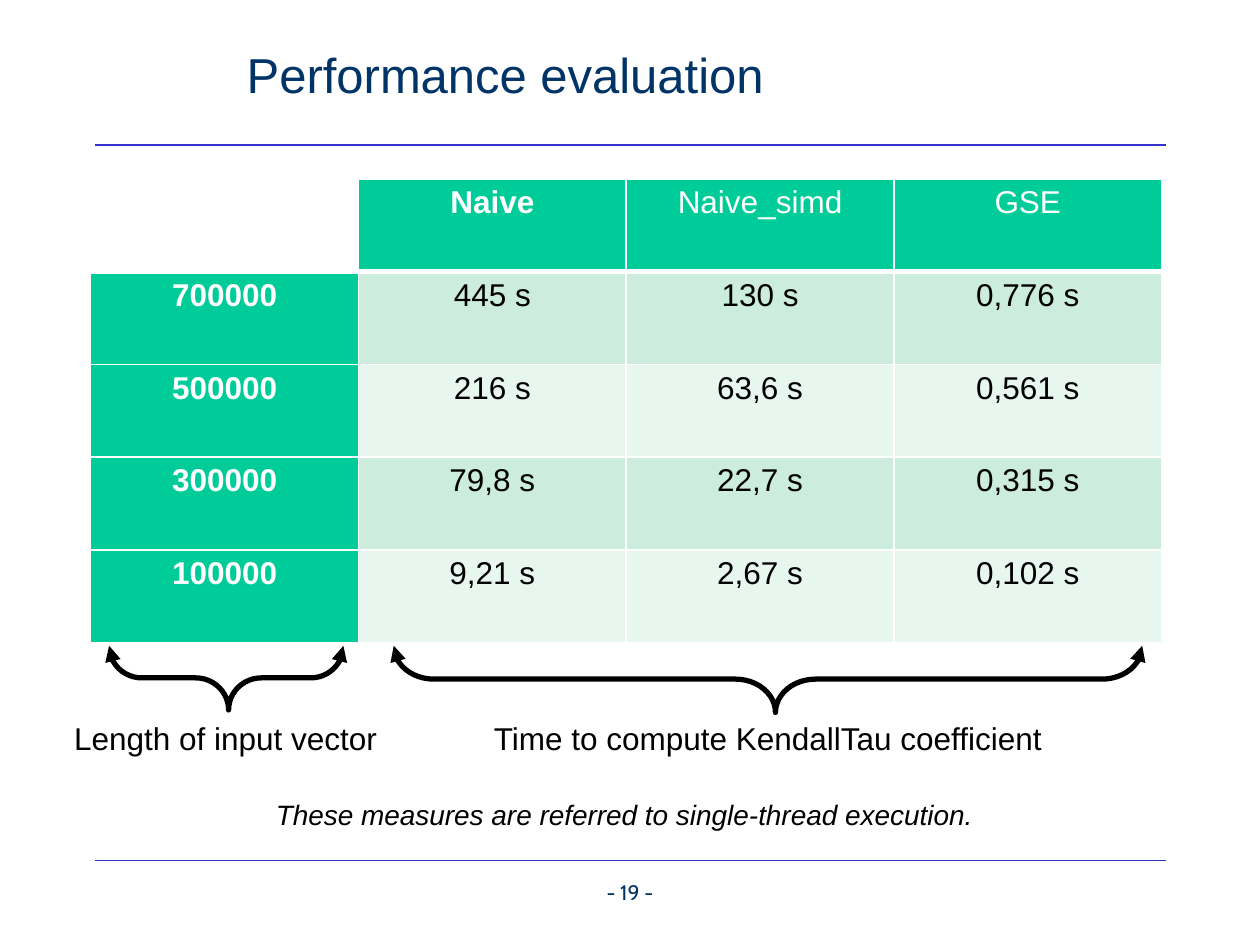
from lxml import etree
from pptx import Presentation
from pptx.dml.color import RGBColor
from pptx.enum import shapes, text
from pptx.oxml import ns
from pptx.util import Inches, Pt

NAVY, BLUE, GREEN = "003366", "3333CC", "00CC99"
BLACK, WHITE = "000000", "FFFFFF"
BANDS = ["CCECDE", "E7F6EF"]
ROWS = [
    ["", "Naive", "Naive_simd", "GSE"],
    ["700000", "445 s", "130 s", "0,776 s"],
    ["500000", "216 s", "63,6 s", "0,561 s"],
    ["300000", "79,8 s", "22,7 s", "0,315 s"],
    ["100000", "9,21 s", "2,67 s", "0,102 s"],
]


def paint(fill, color):
    fill.solid()
    fill.fore_color.rgb = RGBColor.from_string(color)


def node(parent, tag, **attrs):
    return etree.SubElement(parent, ns.qn(tag), **attrs)


def write(frame, words, size=18, color=BLACK, font="Arial", bold=False,
          italic=False, align=text.PP_ALIGN.CENTER):
    para = frame.paragraphs[0]
    para.alignment = align
    run = para.add_run()
    run.text = words
    run.font.name = font
    run.font.size = Pt(size)
    run.font.bold = bold
    run.font.italic = italic
    paint(run.font.fill, color)


def label(slide, words, left, top, width, height,
          anchor=text.MSO_ANCHOR.TOP, **style):
    box = slide.shapes.add_textbox(
        Inches(left), Inches(top), Inches(width), Inches(height))
    frame = box.text_frame
    frame.word_wrap = True
    frame.vertical_anchor = anchor
    write(frame, words, **style)


def rule(slide, top):
    line = slide.shapes.add_connector(
        shapes.MSO_CONNECTOR.STRAIGHT,
        Inches(0.75), Inches(top), Inches(9.25), Inches(top))
    paint(line.line.fill, BLUE)
    line.line.width = Pt(0.75)
    node(line._element.spPr, "a:effectLst")


def brace(slide, left, top, width, height, curve):
    shape = slide.shapes.add_shape(
        shapes.MSO_SHAPE.RIGHT_BRACE,
        Inches(left), Inches(top), Inches(width), Inches(height))
    shape.rotation = 90
    shape.adjustments[0] = curve
    shape.adjustments[1] = 0.49
    shape.shadow.inherit = False
    paint(shape.fill, WHITE)
    paint(shape.line.fill, BLACK)
    shape.line.width = Pt(3)
    stroke = shape._element.spPr.find(ns.qn("a:ln"))
    for end in ("a:headEnd", "a:tailEnd"):
        node(stroke, end, type="triangle")


def border(cell, base):
    props = cell._tc.get_or_add_tcPr()
    for side, width in (("L", 1), ("R", 1), ("T", 1), ("B", base)):
        edge = node(props, f"a:ln{side}", w=str(Pt(width)))
        node(node(edge, "a:solidFill"), "a:srgbClr", val=WHITE)


def grid(slide):
    table = slide.shapes.add_table(
        len(ROWS), len(ROWS[0]), Inches(0.72), Inches(1.42),
        Inches(8.5), Inches(3.68)).table
    for r, row in enumerate(ROWS):
        for c, words in enumerate(row):
            cell = table.cell(r, c)
            head = r == 0 or c == 0
            border(cell, 3 if r == 0 else 1)
            back = GREEN if head else BANDS[(r - 1) % 2]
            paint(cell.fill, back if words else WHITE)
            if words:
                write(cell.text_frame, words,
                      color=WHITE if head else BLACK,
                      bold=c == 0 or (r, c) == (0, 1))


def main():
    deck = Presentation()
    deck.slide_width, deck.slide_height = Inches(10), Inches(7.5)
    slide = deck.slides.add_slide(deck.slide_layouts[6])
    for top in (6.83, 1.15):
        rule(slide, top)
    label(slide, "Performance evaluation", 1.86, 0.13, 6.21, 0.92,
          anchor=text.MSO_ANCHOR.MIDDLE, size=28, color=NAVY,
          align=text.PP_ALIGN.LEFT)
    grid(slide)
    label(slide, "- 19 -", 4.47, 6.93, 1.06, 0.25,
          size=12, color=NAVY, font="Cabin")
    brace(slide, 5.83, 2.42, 0.53, 5.94, 0.6)
    brace(slide, 1.54, 4.45, 0.51, 1.86, 0.51)
    label(slide, "Length of input vector", 0.47, 5.66, 2.64, 0.4)
    label(slide, "Time to compute KendallTau coefficient",
          3.28, 5.66, 5.63, 0.4)
    label(slide, "These measures are referred to single-thread execution.",
          1.28, 6.28, 7.35, 0.37, size=16, italic=True)
    deck.save("out.pptx")


if __name__ == "__main__":
    main()
